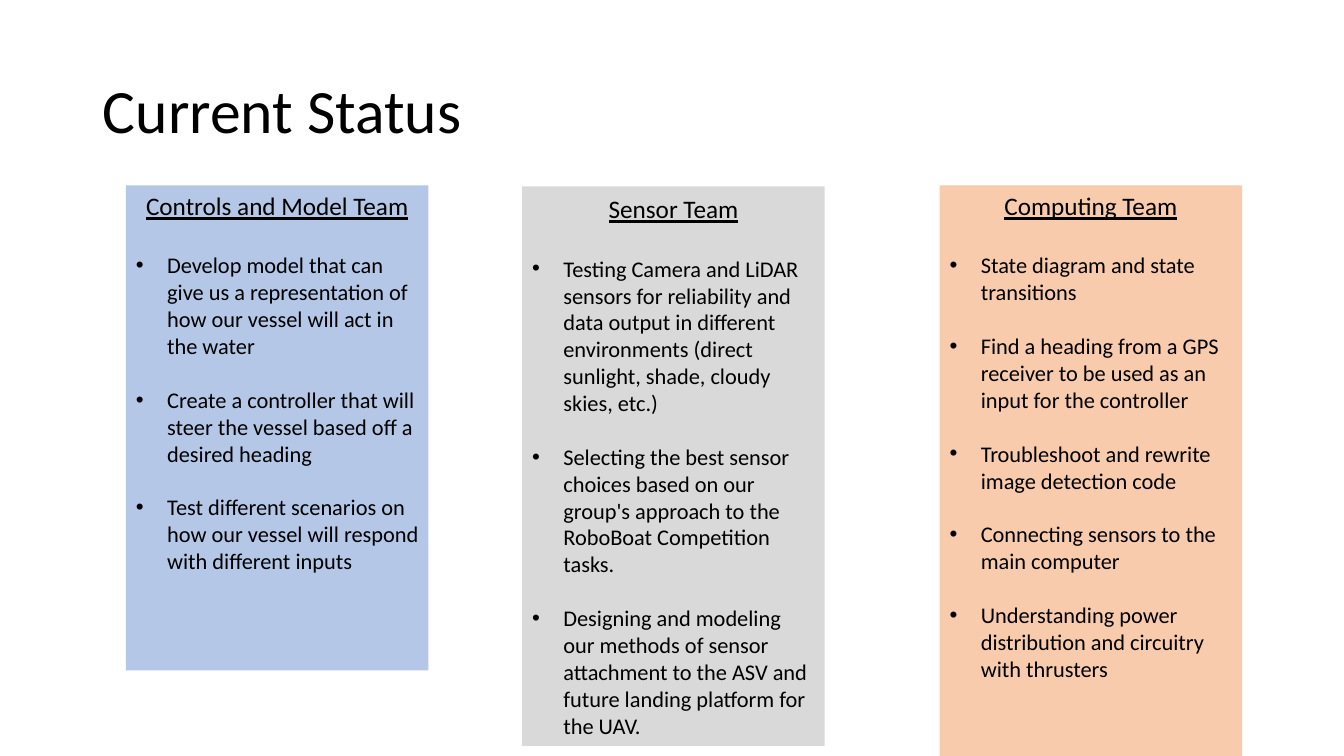
from dataclasses import dataclass

from lxml import etree
from pptx import Presentation
from pptx.dml.color import RGBColor
from pptx.enum.shapes import MSO_SHAPE
from pptx.enum.text import MSO_ANCHOR, PP_ALIGN
from pptx.oxml.ns import qn
from pptx.util import Inches, Pt

RECTANGLE = MSO_SHAPE.RECTANGLE
TOP, MIDDLE = MSO_ANCHOR.TOP, MSO_ANCHOR.MIDDLE
LEFT, CENTER = PP_ALIGN.LEFT, PP_ALIGN.CENTER


@dataclass(frozen=True)
class Theme:
    font: str = "Calibri"
    text: RGBColor = RGBColor(0, 0, 0)
    blue: RGBColor = RGBColor(0xB4, 0xC7, 0xE7)
    gray: RGBColor = RGBColor(0xD9, 0xD9, 0xD9)
    orange: RGBColor = RGBColor(0xF8, 0xCB, 0xAD)
    title: Pt = Pt(44)
    heading: Pt = Pt(18)
    body: Pt = Pt(16)
    heading_gap: Pt = Pt(22)
    body_gap: Pt = Pt(19.3)


THEME = Theme()
COLUMN_WIDTH = Inches(3)
INDENT = Inches(0.31)

TEAMS = [
    ("Controls and Model Team", 1.25, 1.84, 4.81, THEME.blue, TOP, [
        "Develop model that can give us a representation of how our vessel will act in the water",
        "Create a controller that will steer the vessel based off a desired heading",
        "Test different scenarios on how our vessel will respond with different inputs",
    ]),
    ("Sensor Team", 5.18, 1.85, 5.55, THEME.gray, MIDDLE, [
        "Testing Camera and LiDAR sensors for reliability and data output in different "
        "environments (direct sunlight, shade, cloudy skies, etc.)",
        "Selecting the best sensor choices based on our group's approach to the "
        "RoboBoat Competition tasks.",
        "Designing and modeling our methods of sensor attachment to the ASV and future "
        "landing platform for the UAV.",
    ]),
    ("Computing Team", 9.32, 1.84, 5.66, THEME.orange, TOP, [
        "State diagram and state transitions",
        "Find a heading from a GPS receiver to be used as an input for the controller",
        "Troubleshoot and rewrite image detection code",
        "Connecting sensors to the main computer",
        "Understanding power distribution and circuitry with thrusters",
    ]),
]


def write(para, text, size, align, underline=False):
    para.alignment = align
    span = para.add_run()
    span.text = text
    for name, value in {"name": THEME.font, "size": size, "underline": underline}.items():
        setattr(span.font, name, value)
    span.font.color.rgb = THEME.text


def add_bullet(para):
    properties = para._p.get_or_add_pPr()
    properties.set("marL", str(INDENT))
    properties.set("indent", str(-INDENT))
    etree.SubElement(properties, qn("a:buFont"), typeface="Arial")
    etree.SubElement(properties, qn("a:buChar"), char="•")


deck = Presentation()
deck.slide_width, deck.slide_height = Inches(13.33), Inches(7.5)
page = deck.slides.add_slide(deck.slide_layouts[5])

title = page.shapes.title
title_place = {"left": 0.92, "top": 0.4, "width": 11.5, "height": 1.45}
for name, value in title_place.items():
    setattr(title, name, Inches(value))
title.text_frame.vertical_anchor = MIDDLE
title_para = title.text_frame.paragraphs[0]
title_para.line_spacing = 0.9
write(title_para, "Current Status", THEME.title, LEFT)

for team, left, top, height, color, anchor, tasks in TEAMS:
    box = page.shapes.add_shape(
        RECTANGLE, Inches(left), Inches(top), COLUMN_WIDTH, Inches(height)
    )
    box.shadow.inherit = False
    box.fill.solid()
    box.fill.fore_color.rgb = color
    box.line.fill.background()
    frame = box.text_frame
    frame.word_wrap = True
    frame.vertical_anchor = anchor
    write(frame.paragraphs[0], team, THEME.heading, CENTER, underline=True)
    for index, task in enumerate(tasks):
        para = frame.add_paragraph()
        para.space_before = THEME.body_gap if index else THEME.heading_gap
        add_bullet(para)
        write(para, task, THEME.body, LEFT)

deck.save("out.pptx")
